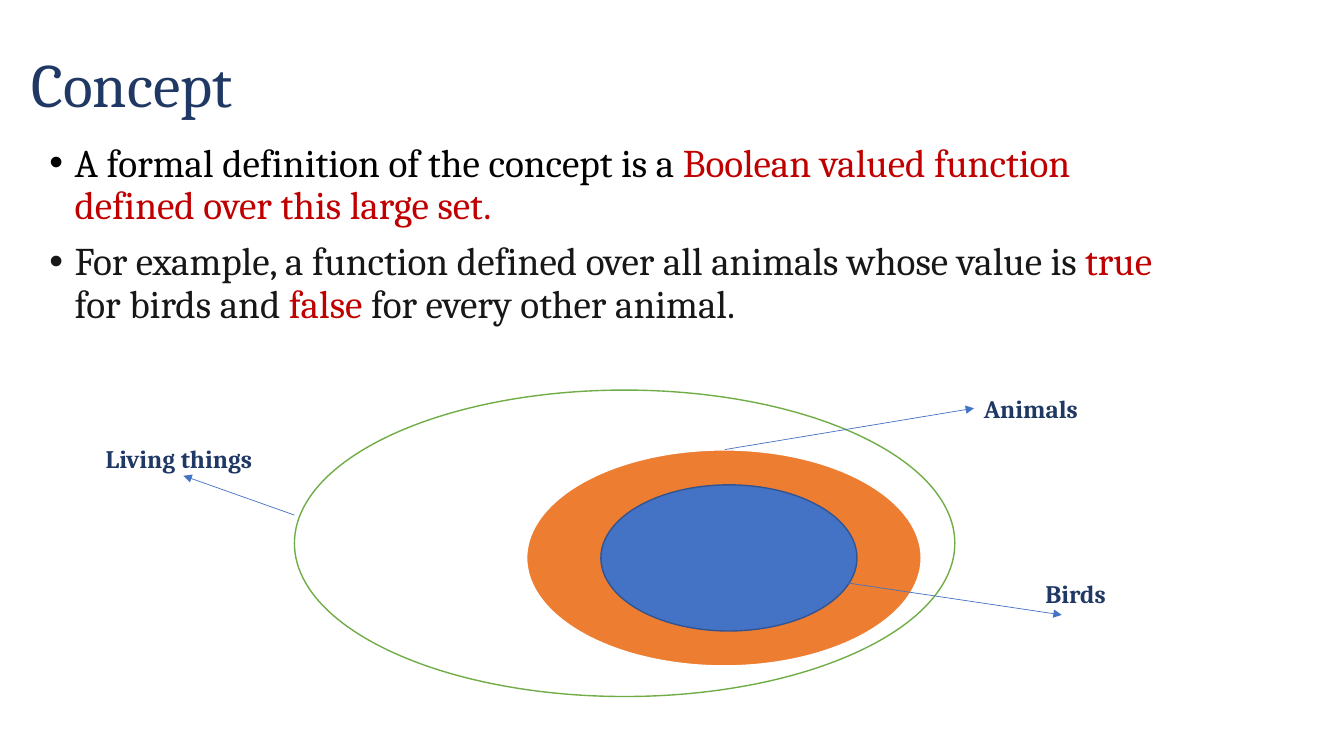
from lxml import etree
from pptx import Presentation
from pptx import util as u
from pptx.dml.color import RGBColor
from pptx.enum import shapes, text
from pptx.oxml.ns import qn

NAVY = RGBColor(0x20, 0x38, 0x64)
BLACK = RGBColor(0x00, 0x00, 0x00)
CHARCOAL = RGBColor(0x18, 0x17, 0x17)
RED = RGBColor(0xC0, 0x00, 0x00)
WHITE = RGBColor(0xFF, 0xFF, 0xFF)
GREEN = RGBColor(0x70, 0xAD, 0x47)
ORANGE = RGBColor(0xED, 0x7D, 0x31)
BLUE = RGBColor(0x44, 0x72, 0xC4)
DARK_BLUE = RGBColor(0x32, 0x54, 0x91)
FONT = "Cambria"


def place(part, *box):
    part.left, part.top, part.width, part.height = map(u.Inches, box)


def style(paragraph, size, color=None, bold=None):
    font = paragraph.font
    font.name, font.size, font.bold = FONT, u.Pt(size), bold
    if color is not None:
        font.color.rgb = color


prs = Presentation()
prs.slide_width, prs.slide_height = u.Inches(13.33), u.Inches(7.5)
slide = prs.slides.add_slide(prs.slide_layouts[1])  # title and bulleted body
for empty in list(slide.placeholders)[2:]:
    empty.element.getparent().remove(empty.element)

# Title
title = slide.shapes.title
place(title, 0.21, 0.14, 11.5, 1.45)
title.text_frame.text = "Concept"
title.text_frame.auto_size = text.MSO_AUTO_SIZE.NONE
title.text_frame.vertical_anchor = text.MSO_ANCHOR.MIDDLE
heading = title.text_frame.paragraphs[0]
heading.alignment = text.PP_ALIGN.LEFT
heading.line_spacing = 0.9
style(heading, 44, NAVY)

# Definition and example, with key terms in red
bullets = [
    [("A formal definition of the concept is a ", BLACK),
     ("Boolean valued function defined over this large set.", RED)],
    [("For example, a function defined over all animals whose value is ", CHARCOAL),
     ("true", RED), (" for birds and ", CHARCOAL), ("false", RED),
     (" for every other animal.", CHARCOAL)],
]
body = slide.placeholders[1]
place(body, 0.39, 1.37, 11.5, 4.76)
frame = body.text_frame
frame.auto_size = text.MSO_AUTO_SIZE.NONE
for i, pieces in enumerate(bullets):
    bullet = frame.paragraphs[0] if i == 0 else frame.add_paragraph()
    bullet.line_spacing, bullet.space_before = 0.9, u.Pt(10)
    indent = bullet._p.get_or_add_pPr()
    indent.set("marL", str(u.Inches(0.25)))
    indent.set("indent", str(-u.Inches(0.25)))
    style(bullet, 28)
    for words, color in pieces:
        run = bullet.add_run()
        run.text = words
        run.font.color.rgb = color

# Nested sets: living things, animals, birds
nested_sets = [
    ((2.92, 3.87, 6.55, 3.04), WHITE, GREEN, 1),
    ((5.22, 4.46, 3.92, 2.15), ORANGE, WHITE, 1.5),
    ((5.96, 4.81, 2.54, 1.45), BLUE, DARK_BLUE, 1),
]
for box, fill, outline, weight in nested_sets:
    ellipse = slide.shapes.add_shape(shapes.MSO_SHAPE.OVAL, *map(u.Inches, box))
    ellipse.shadow.inherit = False
    ellipse.fill.solid()
    ellipse.fill.fore_color.rgb = fill
    ellipse.line.color.rgb = outline
    ellipse.line.width = u.Pt(weight)

# Set names, each with an arrow from its ellipse
callouts = [
    ("Living things", (0.95, 4.35), (2.92, 5.11, 1.82, 4.72)),
    ("Animals", (9.66, 3.85), (7.19, 4.46, 9.66, 4.05)),
    ("Birds", (10.27, 5.69), (7.78, 5.69, 10.53, 6.1)),
]
for name, corner, ends in callouts:
    arrow = slide.shapes.add_connector(shapes.MSO_CONNECTOR.STRAIGHT, *map(u.Inches, ends))
    arrow.line.color.rgb = BLUE
    arrow.line.width = u.Pt(0.5)
    etree.SubElement(arrow.line._get_or_add_ln(), qn("a:tailEnd"), type="triangle")
    etree.SubElement(arrow._element.spPr, qn("a:effectLst"))

    label = slide.shapes.add_textbox(*map(u.Inches, (*corner, 1.74, 0.4)))
    label.text_frame.word_wrap = True
    label.text_frame.auto_size = text.MSO_AUTO_SIZE.SHAPE_TO_FIT_TEXT
    label.text_frame.text = name
    style(label.text_frame.paragraphs[0], 18, NAVY, bold=True)

prs.save("out.pptx")
